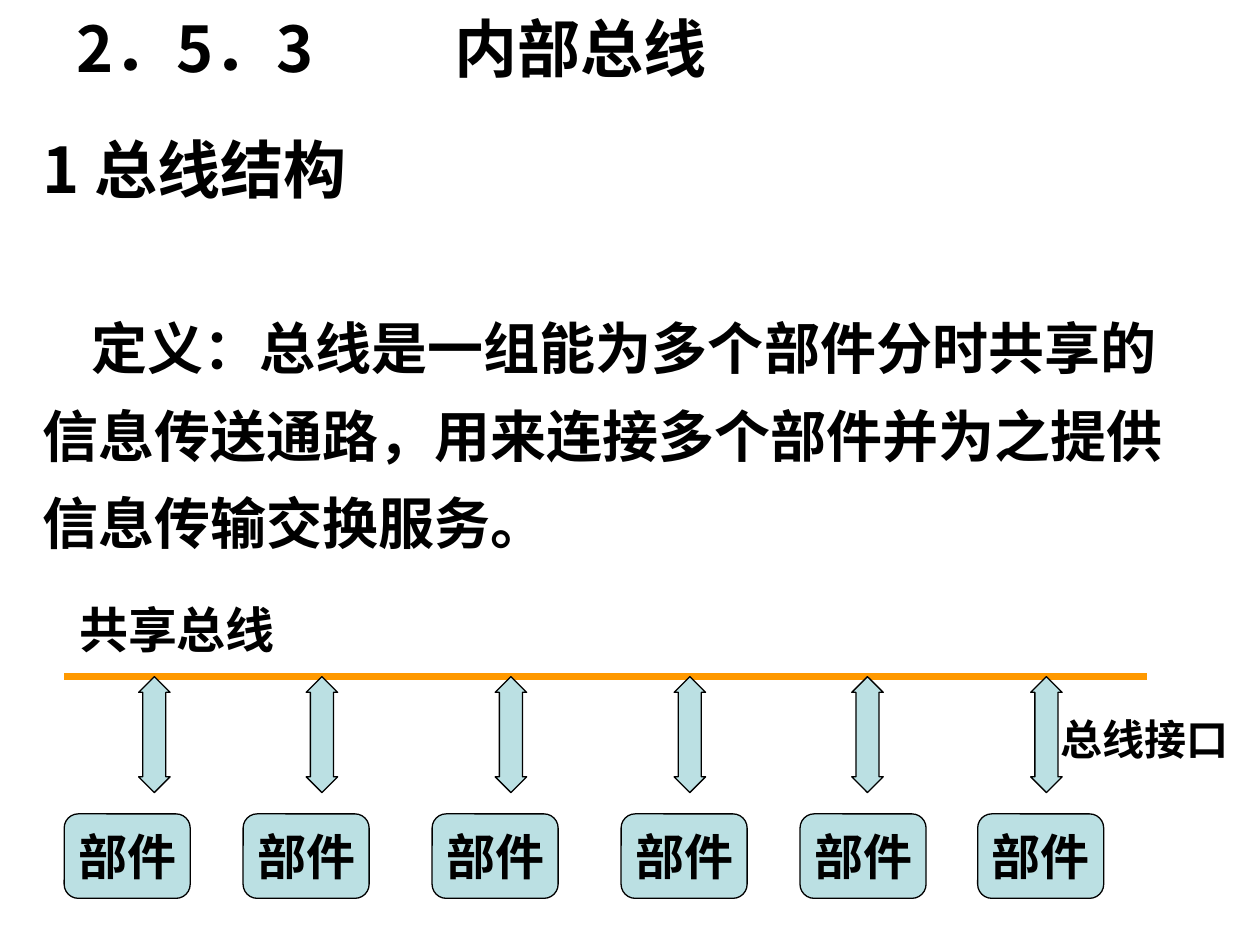
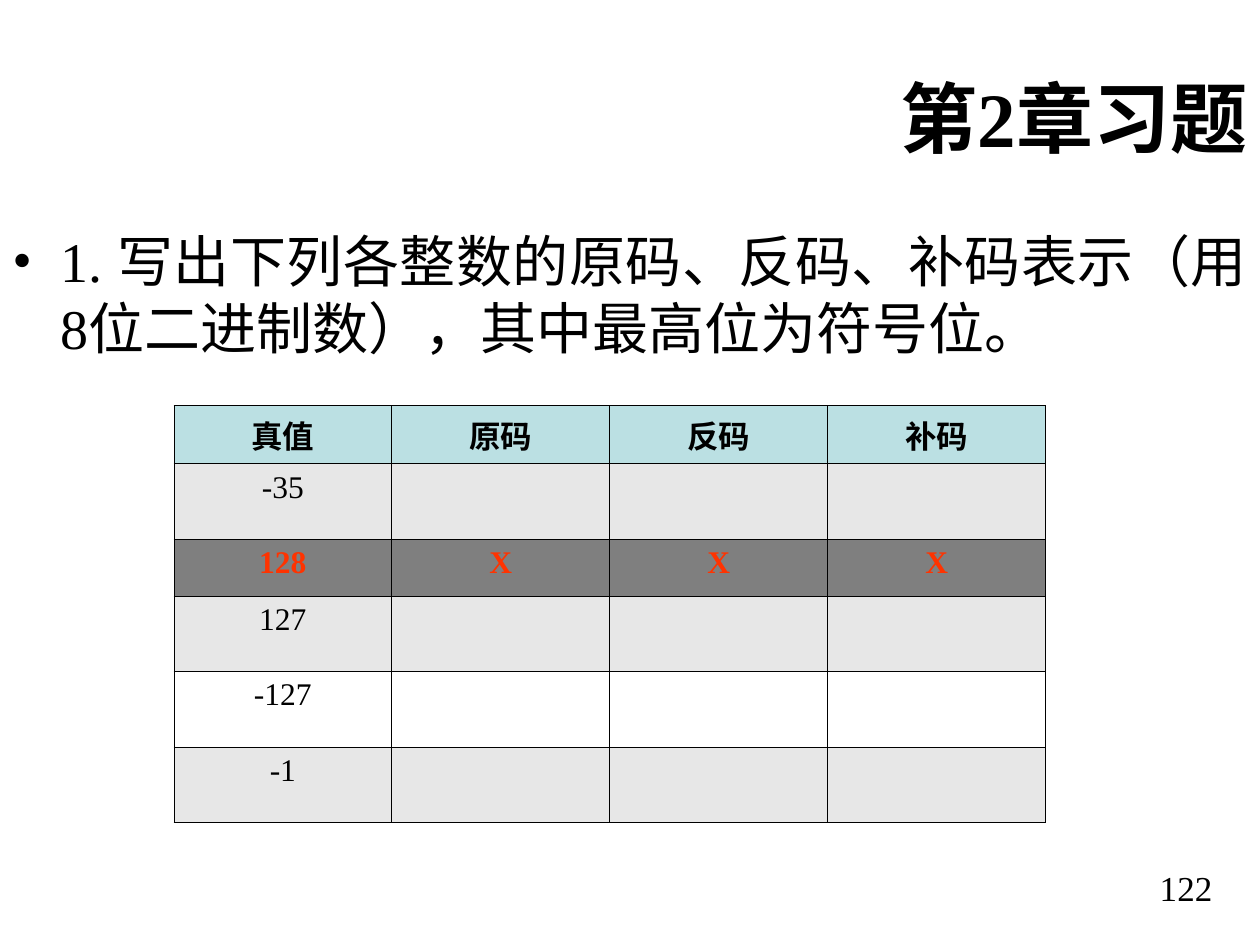
"""Build two slides: the internal bus structure and the chapter 2 exercise."""
from dataclasses import dataclass

from lxml.etree import SubElement
from pptx import Presentation
from pptx.dml.color import RGBColor as RGB
from pptx.enum.shapes import MSO_CONNECTOR as Connector, MSO_SHAPE as Shape
from pptx.enum.text import MSO_ANCHOR as Anchor, PP_ALIGN as Align
from pptx.oxml.ns import qn
from pptx.util import Inches, Pt


@dataclass(frozen=True)
class Theme:
    ink: RGB = RGB(0, 0, 0)
    white: RGB = RGB(255, 255, 255)
    aqua: RGB = RGB(0xBB, 0xE0, 0xE3)
    orange: RGB = RGB(0xFF, 0x99, 0x00)
    red: RGB = RGB(0xFF, 0x33, 0x00)
    pale: RGB = RGB(0xE7, 0xE7, 0xE7)
    gray: RGB = RGB(0x7F, 0x7F, 0x7F)
    chinese: str = "Noto Sans CJK SC"
    sans: str = "Arial"
    serif: str = "Times New Roman"
    title: int = 44
    heading: int = 36
    body: int = 32
    label: int = 28
    note: int = 24
    number: int = 20
    cell: int = 18


theme = Theme()


def style(para, text, size, face, bold=False, color=theme.ink, align=Align.LEFT):
    para.text = text
    para.alignment = align
    font = para.font
    font.size, font.name, font.bold = Pt(size), face, bold
    font.color.rgb = color
    latin = para._p.pPr.find(qn("a:defRPr")).find(qn("a:latin"))
    east = latin.makeelement(qn("a:ea"), {"typeface": theme.chinese})
    latin.addnext(east)


def add_text(page, left, top, width, height):
    box = page.shapes.add_textbox(Inches(left), Inches(top), Inches(width), Inches(height))
    box.text_frame.word_wrap = True
    return box.text_frame


deck = Presentation()
deck.slide_width, deck.slide_height = Inches(10), Inches(7.5)
blank = deck.slide_layouts[6]

bus_page = deck.slides.add_slide(blank)
para = add_text(bus_page, 0.51, 0.03, 5.4, 0.7).paragraphs[0]
tabs = SubElement(para._p.get_or_add_pPr(), qn("a:tabLst"))
SubElement(tabs, qn("a:tab"), pos=str(Inches(3)), algn="l")
style(para, "2．5．3\t内部总线", theme.heading, theme.chinese, True)

frame = add_text(bus_page, 0.24, 0.89, 9.33, 3.57)
heading, definition = frame.paragraphs[0], frame.add_paragraph()
definition._p.get_or_add_pPr().set("indent", str(Inches(0.39)))
style(heading, "1 总线结构", theme.heading, theme.chinese, True)
style(definition, "定义：总线是一组能为多个部件分时共享的信息传送通路，用来连接多个部件并为之提供信息传输交换服务。",
      theme.body, theme.chinese, True)
heading.line_spacing = definition.line_spacing = Pt(50)
definition.space_before = Pt(50)

bus_top = Inches(5.37)
bus = bus_page.shapes.add_connector(Connector.STRAIGHT, Inches(0.51), bus_top, Inches(9.1), bus_top)
bus.line.color.rgb = theme.orange
bus.line.width = Pt(4)
SubElement(bus._element.spPr, qn("a:effectLst"))

part_lefts = [0.51, 1.93, 3.43, 4.93, 6.35, 7.76]
arrow_lefts = [1.1, 2.43, 3.93, 5.35, 6.76, 8.18]
for part_left, arrow_left in zip(part_lefts, arrow_lefts):
    part = bus_page.shapes.add_shape(Shape.FLOWCHART_ALTERNATE_PROCESS, Inches(part_left),
                                     Inches(6.46), Inches(1), Inches(0.67))
    arrow = bus_page.shapes.add_shape(Shape.UP_DOWN_ARROW, Inches(arrow_left), bus_top,
                                      Inches(0.25), Inches(0.92))
    arrow.adjustments[0], arrow.adjustments[1] = 0.5, 0.73
    for shape in (part, arrow):
        shape.shadow.inherit = False
        shape.fill.solid()
        shape.fill.fore_color.rgb = theme.aqua
        shape.line.color.rgb = theme.ink
        shape.line.width = Pt(0.75)
    part.text_frame.word_wrap = False
    part.text_frame.vertical_anchor = Anchor.MIDDLE
    style(part.text_frame.paragraphs[0], "部件", theme.label, theme.sans, True, align=Align.CENTER)

for text, size, place in [("总线接口", theme.note, (8.32, 5.61, 1.6, 0.5)),
                          ("共享总线", theme.label, (0.53, 4.71, 1.8, 0.57))]:
    style(add_text(bus_page, *place).paragraphs[0], text, size, theme.sans, True)

exercise_page = deck.slides.add_slide(blank)
frame = add_text(exercise_page, 0, 0.3, 10, 1.25)
frame.vertical_anchor = Anchor.MIDDLE
style(frame.paragraphs[0], "第2章习题", theme.title, theme.serif, True, align=Align.RIGHT)

question = add_text(exercise_page, 0, 1.75, 10, 4.95).paragraphs[0]
props = question._p.get_or_add_pPr()
props.set("marL", str(Inches(0.38)))
props.set("indent", str(Inches(-0.38)))
SubElement(props, qn("a:buFont"), typeface=theme.serif)
SubElement(props, qn("a:buChar"), char="•")
style(question, "1. 写出下列各整数的原码、反码、补码表示（用8位二进制数），其中最高位为符号位。",
      theme.body, theme.serif, align=Align.JUSTIFY)

style(add_text(exercise_page, 7.39, 6.83, 2.33, 0.52).paragraphs[0], "122",
      theme.number, theme.serif, align=Align.RIGHT)

code_rows = [
    (["真值", "原码", "反码", "补码"], 0.46, theme.aqua, theme.ink, True),
    (["-35", "", "", ""], 0.6, theme.pale, theme.ink, False),
    (["128", "X", "X", "X"], 0.45, theme.gray, theme.red, True),
    (["127", "", "", ""], 0.6, theme.pale, theme.ink, False),
    (["-127", "", "", ""], 0.6, theme.white, theme.ink, False),
    (["-1", "", "", ""], 0.6, theme.pale, theme.ink, False),
]
table = exercise_page.shapes.add_table(len(code_rows), 4, Inches(1.38), Inches(3.22),
                                       Inches(6.93), Inches(3.31)).table
table.first_row = table.horz_banding = False
for column in table.columns:
    column.width = Inches(1.73)
for row, (values, height, fill, color, bold) in zip(table.rows, code_rows):
    row.height = Inches(height)
    for cell, value in zip(row.cells, values):
        for side in ("lnL", "lnR", "lnT", "lnB"):
            edge = SubElement(cell._tc.get_or_add_tcPr(), qn(f"a:{side}"), w=str(Pt(0.45)))
            SubElement(SubElement(edge, qn("a:solidFill")), qn("a:srgbClr"), val=str(theme.ink))
        cell.fill.solid()
        cell.fill.fore_color.rgb = fill
        style(cell.text_frame.paragraphs[0], value, theme.cell, theme.serif, bold, color, Align.CENTER)

deck.save("out.pptx")
